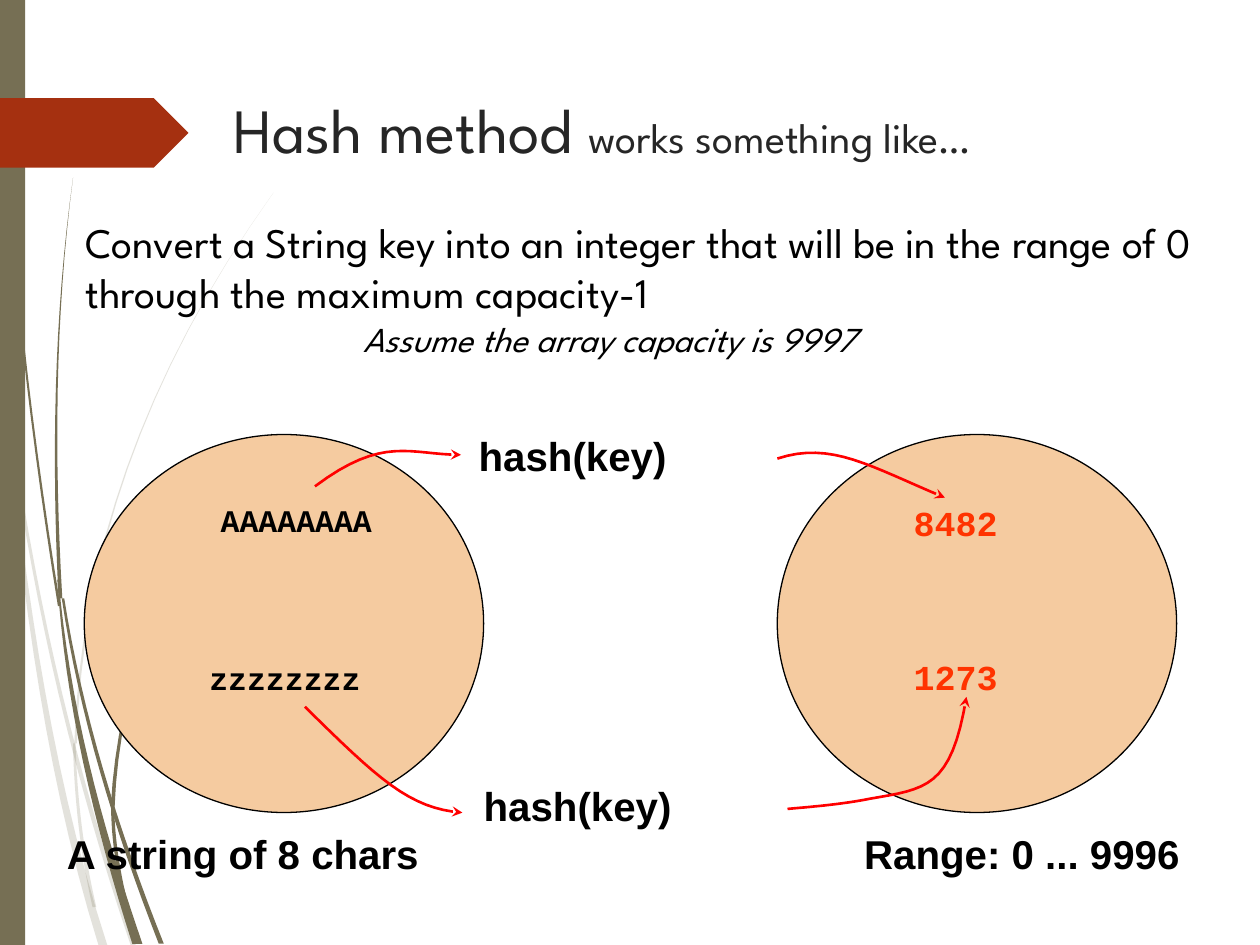
from lxml import etree
from pptx import Presentation, util as u
from pptx.dml.color import RGBColor
from pptx.enum import shapes, text
from pptx.oxml.ns import qn

OLIVE = RGBColor(0x76, 0x6F, 0x54)
RUST = RGBColor(0xA5, 0x30, 0x10)
PEACH = RGBColor(0xF5, 0xCB, 0xA0)
RED = RGBColor(0xFF, 0, 0)
ORANGE = RGBColor(0xFF, 0x33, 0)
BLACK = RGBColor(0, 0, 0)
CHARCOAL = RGBColor(0x26, 0x26, 0x26)
HEADING = "League Spartan"
UNIT = u.Cm(2.54) / 100  # curve coordinates are hundredths of an inch
STEPS = 16

# Four x values of a cubic curve, its first and last y, its first and last width.
PALE_WISPS = [
    ((0, 17, 33, 82), 290, 751, 1, 7),
    ((10, 29, 60, 106), 350, 751, 2, 4),
    ((60, 64, 113, 217), 590, 153, 2, 0),
    ((59, 60, 65, 75), 590, 720, 2, 3),
]
DARK_WISPS = [
    ((2.5, 3, 21, 47), 0, 481, 1, 2),
    ((50, 64, 92, 128), 475, 749, 2, 4),
    ((46, 53, 77, 109), 460, 749, 1, 8),
    ((48, 42, 43, 58), 475, 141, 3, 0),
    ((89.5, 94, 130, 215.5), 640, 344, 3, 0),
    ((89.5, 89, 95, 103), 635, 730, 2.5, 3),
]
ARROWS = [
    [(250, 386), (305, 345), (325, 361), (366, 361)],
    [(617, 364), (660, 350), (690, 370), (750, 395)],
    [(242, 561), (300, 618), (325, 642), (367, 645)],
    [(625, 642), (648, 640), (670, 638), (690, 634), (735, 626), (755, 626), (767, 553)],
]

deck = Presentation()
deck.slide_width, deck.slide_height = u.Cm(25.4), u.Cm(19.05)
page = deck.slides.add_slide(deck.slide_layouts[6])


def bezier(points):
    """Return evenly stepped points along one cubic Bezier arc."""
    a, b, c, d = points
    result = []
    for step in range(STEPS + 1):
        t = step / STEPS
        s = 1 - t
        result.append(tuple(s**3 * a[i] + 3 * s * s * t * b[i] + 3 * s * t * t * c[i] + t**3 * d[i]
                            for i in (0, 1)))
    return result


def add_run(para, words, font, size, color, bold=False, italic=False):
    span = para.add_run()
    span.text = words
    span.font.name, span.font.size = font, u.Pt(size)
    span.font.bold, span.font.italic = bold, italic
    span.font.color.rgb = color


for wisps, alpha in ((PALE_WISPS, 20000), (DARK_WISPS, 100000)):
    for columns, top, bottom, thin, thick in wisps:
        rows = [top + (bottom - top) * i / 3 for i in range(4)]
        spine = bezier(list(zip(columns, rows)))
        halves = [(thin + (thick - thin) * i / STEPS) / 2 for i in range(STEPS + 1)]
        left_edge = [(x - half, y) for (x, y), half in zip(spine, halves)]
        right_edge = [(x + half, y) for (x, y), half in zip(spine, halves)]
        outline = [(round(x * UNIT), round(y * UNIT)) for x, y in left_edge + right_edge[::-1]]
        builder = page.shapes.build_freeform(*outline[0])
        builder.add_line_segments(outline[1:], close=True)
        wisp = builder.convert_to_shape()
        wisp.shadow.inherit = False
        wisp.fill.solid()
        wisp.fill.fore_color.rgb = OLIVE
        wisp.line.fill.background()
        if alpha < 100000:
            color = wisp._element.spPr.find(qn("a:solidFill"))[0]
            etree.SubElement(color, qn("a:alpha"), val=str(alpha))

KIND = shapes.MSO_SHAPE
for kind, left, top, width, height, color, outlined in (
        (KIND.RECTANGLE, 0, 0, 0.51, 19.05, OLIVE, False),
        (KIND.PENTAGON, 0, 1.98, 3.8, 1.4, RUST, False),
        (KIND.OVAL, 1.7, 8.76, 8.05, 7.62, PEACH, True),
        (KIND.OVAL, 15.67, 8.76, 8.05, 7.62, PEACH, True)):
    shape = page.shapes.add_shape(kind, u.Cm(left), u.Cm(top), u.Cm(width), u.Cm(height))
    shape.shadow.inherit = False
    shape.fill.solid()
    shape.fill.fore_color.rgb = color
    if outlined:
        shape.line.color.rgb, shape.line.width = BLACK, u.Pt(0.75)
    else:
        shape.line.fill.background()

title = page.shapes.add_textbox(u.Cm(4.45), u.Cm(1.7), u.Cm(19.05), u.Cm(2.57)).text_frame
title.word_wrap = True
add_run(title.paragraphs[0], "Hash method ", HEADING, 36, CHARCOAL)
add_run(title.paragraphs[0], "works something like…", HEADING, 24, CHARCOAL)

for words, left, top, width, height, font, size, color in (
        ("zzzzzzzz", 4.22, 13.28, 4.04, 0.76, "Courier New", 18, BLACK),
        ("AAAAAAAA", 4.45, 10.11, 3.05, 0.76, "Courier New", 18, BLACK),
        ("8482", 18.42, 10.11, 1.7, 0.84, "Courier New", 20, ORANGE),
        ("1273", 18.42, 13.21, 1.7, 0.84, "Courier New", 20, ORANGE),
        ("hash(key)", 9.65, 8.69, 3.96, 0.97, "Arial", 23, BLACK),
        ("hash(key)", 9.75, 15.75, 3.96, 0.97, "Arial", 23, BLACK),
        ("A string of 8 chars", 1.35, 16.71, 7.34, 0.97, "Arial", 23, BLACK),
        ("Range: 0 ... 9996", 17.42, 16.71, 6.45, 0.97, "Arial", 23, BLACK)):
    label = page.shapes.add_textbox(u.Cm(left), u.Cm(top), u.Cm(width), u.Cm(height)).text_frame
    label.margin_left = label.margin_top = label.margin_right = label.margin_bottom = 0
    label.word_wrap = False
    add_run(label.paragraphs[0], words, font, size, color, bold=True)

for points in ARROWS:
    track = [points[0]]
    for first in range(0, len(points) - 1, 3):
        track += bezier(points[first:first + 4])[1:]
    track = [(round(x * UNIT), round(y * UNIT)) for x, y in track]
    builder = page.shapes.build_freeform(*track[0])
    builder.add_line_segments(track[1:], close=False)
    arrow = builder.convert_to_shape()
    arrow.shadow.inherit = False
    arrow.fill.background()
    arrow.line.color.rgb, arrow.line.width = RED, u.Pt(1.5)
    etree.SubElement(arrow.line._get_or_add_ln(), qn("a:tailEnd"), type="stealth")

body = page.shapes.add_textbox(u.Cm(1.47), u.Cm(4.24), u.Cm(23.3), u.Cm(3.15)).text_frame
body.word_wrap = True
body.auto_size = text.MSO_AUTO_SIZE.NONE
add_run(body.paragraphs[0], "Convert a String key into an integer that will be in the range of 0 "
        "through the maximum capacity-1", HEADING, 24, BLACK)
assumption = body.add_paragraph()
assumption._p.get_or_add_pPr().set("marL", str(u.Cm(5.6)))
add_run(assumption, "Assume the array capacity is 9997", HEADING, 20, BLACK, italic=True)

deck.save("out.pptx")
